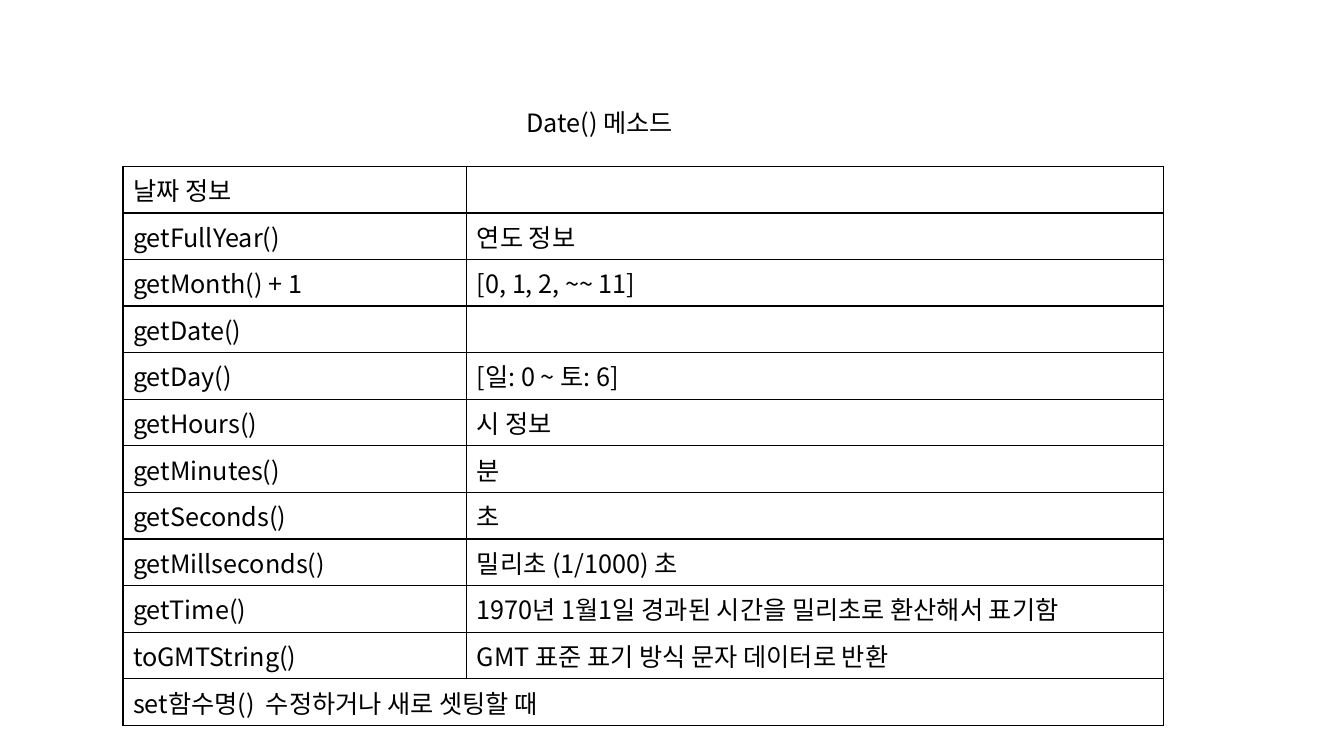
from dataclasses import dataclass

from lxml import etree
from pptx import Presentation
from pptx.dml.color import RGBColor
from pptx.enum.text import MSO_ANCHOR, MSO_AUTO_SIZE, PP_ALIGN
from pptx.oxml.ns import qn
from pptx.slide import Slide
from pptx.table import _Cell
from pptx.text.text import TextFrame
from pptx.util import Inches, Pt

TOP = MSO_ANCHOR.TOP
NO_AUTOFIT = MSO_AUTO_SIZE.NONE
LEFT = PP_ALIGN.LEFT
TITLE_ONLY = 5


@dataclass(frozen=True)
class Theme:
    font: str = "Noto Sans CJK KR"
    ink: str = "000000"
    text_size: int = 18
    border_width: int = 1


@dataclass(frozen=True)
class Method:
    call: str
    meaning: str = ""


THEME = Theme()
HEADING = "Date() 메소드"
METHODS = [
    Method("날짜 정보"),
    Method("getFullYear()", "연도 정보"),
    Method("getMonth() + 1", "[0, 1, 2, ~~ 11]"),
    Method("getDate()"),
    Method("getDay()", "[일: 0 ~ 토: 6]"),
    Method("getHours()", "시 정보"),
    Method("getMinutes()", "분"),
    Method("getSeconds()", "초"),
    Method("getMillseconds()", "밀리초 (1/1000) 초"),
    Method("getTime()", "1970년 1월1일 경과된 시간을 밀리초로 환산해서 표기함"),
    Method("toGMTString()", "GMT 표준 표기 방식 문자 데이터로 반환"),
]
SETTER_NOTE = "set함수명()  수정하거나 새로 셋팅할 때"

COLUMN_WIDTHS = (3.41, 6.91)
ROW_HEIGHT = 0.46
TITLE_FRAME = {
    "word_wrap": False,
    "auto_size": NO_AUTOFIT,
    "vertical_anchor": TOP,
}
TITLE_BOX = {
    "left": Inches(5.12),
    "top": Inches(1.01),
    "width": Inches(1.74),
    "height": Inches(0.4),
}
PLAIN_TABLE = {"first_row": False, "horz_banding": False}


def apply_format(target: object, values: dict) -> None:
    for name, value in values.items():
        setattr(target, name, value)


def write_text(frame: TextFrame, text: str) -> None:
    """Put one styled run in the frame, with the font set for Hangul too."""
    paragraph = frame.paragraphs[0]
    paragraph.alignment = LEFT
    run = paragraph.add_run()
    run.text = text
    run.font.color.rgb = RGBColor.from_string(THEME.ink)
    apply_format(run.font, {"size": Pt(THEME.text_size), "name": THEME.font})
    etree.SubElement(run.font._element, qn("a:ea"), typeface=THEME.font)


def outline_cell(cell: _Cell) -> None:
    cell.fill.background()
    properties = cell._tc.get_or_add_tcPr()
    for index, side in enumerate(("lnL", "lnR", "lnT", "lnB")):
        border = etree.Element(qn(f"a:{side}"), w=str(Pt(THEME.border_width)))
        fill = etree.SubElement(border, qn("a:solidFill"))
        etree.SubElement(fill, qn("a:srgbClr"), val=THEME.ink)
        properties.insert(index, border)


def add_heading(slide: Slide) -> None:
    title = slide.shapes.title
    apply_format(title, TITLE_BOX)
    apply_format(title.text_frame, TITLE_FRAME)
    write_text(title.text_frame, HEADING)


def add_method_table(slide: Slide) -> None:
    row_count = len(METHODS) + 1
    table = slide.shapes.add_table(
        row_count, len(COLUMN_WIDTHS), Inches(1.22), Inches(1.65),
        Inches(sum(COLUMN_WIDTHS)), Inches(ROW_HEIGHT * row_count),
    ).table
    apply_format(table, PLAIN_TABLE)
    for column, width in zip(table.columns, COLUMN_WIDTHS):
        column.width = Inches(width)
    for row in table.rows:
        row.height = Inches(ROW_HEIGHT)
    for cell in table.iter_cells():
        outline_cell(cell)

    for row_index, method in enumerate(METHODS):
        for column_index, text in enumerate((method.call, method.meaning)):
            if text:
                write_text(table.cell(row_index, column_index).text_frame, text)

    note_cell = table.cell(row_count - 1, 0)
    note_cell.merge(table.cell(row_count - 1, 1))
    write_text(note_cell.text_frame, SETTER_NOTE)


def main() -> None:
    deck = Presentation()
    apply_format(deck, {"slide_width": Inches(13.33), "slide_height": Inches(7.5)})
    slide = deck.slides.add_slide(deck.slide_layouts[TITLE_ONLY])
    add_method_table(slide)
    add_heading(slide)
    deck.save("out.pptx")


if __name__ == "__main__":
    main()
